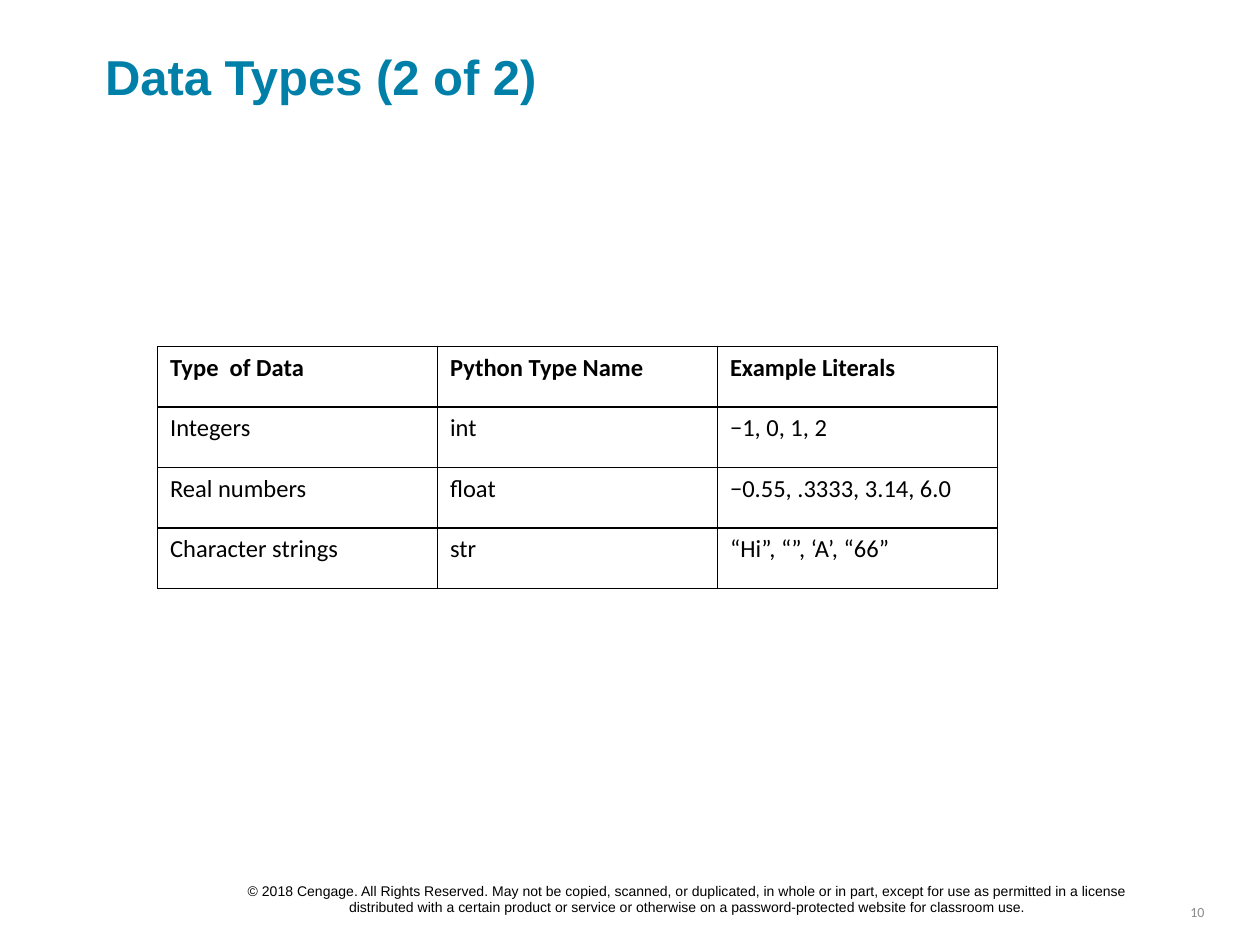
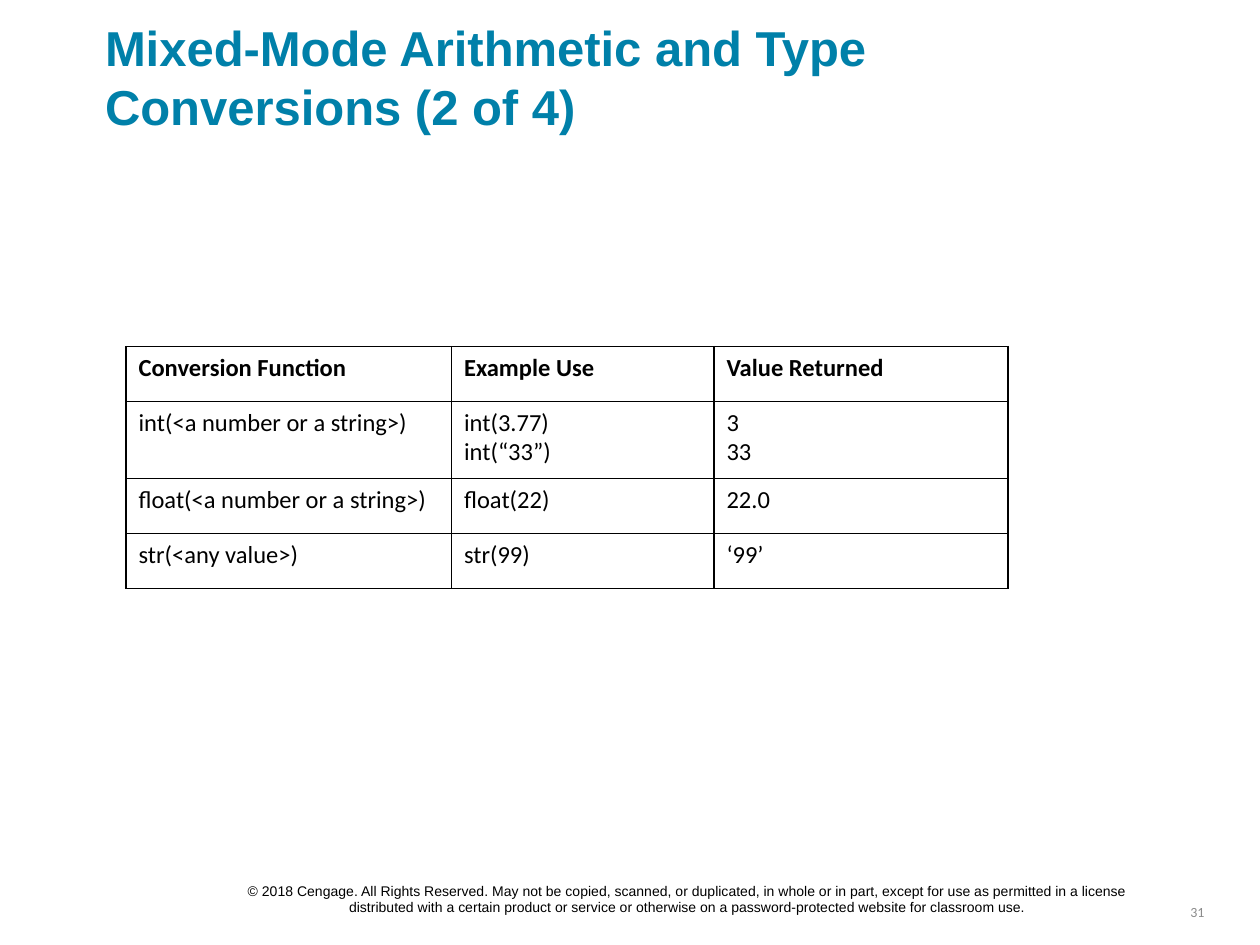
import pptx
import pptx.dml.color
import pptx.enum.text
import pptx.oxml
import pptx.oxml.ns
import pptx.util

Pt = pptx.util.Pt
PP_ALIGN = pptx.enum.text.PP_ALIGN
MIDDLE = pptx.enum.text.MSO_ANCHOR.MIDDLE

TITLE_BLUE = "0080A9"
NUMBER_GREY = "8B8B8B"
BLACK = "000000"
WHITE = "FFFFFF"
BORDER_WIDTH = 0.96

FOOTER_BOX = (126, 504, 534, 19.4)
NUMBER_BOX = (647.3, 512.6, 48.2, 17)
COPYRIGHT = (
    "© 2018 Cengage. All Rights Reserved. May not be copied, scanned, or duplicated, "
    "in whole or in part, except for use as permitted in a license distributed with a "
    "certain product or service or otherwise on a password-protected website for "
    "classroom use."
)

SLIDES = [
    {
        "title": "Data Types (2 of 2)",
        "title_box": (60, 26.6, 632, 33.8),
        "number": "10",
        "table_origin": (90, 198),
        "column_widths": [160, 160, 160],
        "row_heights": [34.6, 34.6, 34.6, 34.6],
        "rows": [
            ["Type  of Data", "Python Type Name", "Example Literals"],
            ["Integers", "int", "−1, 0, 1, 2"],
            ["Real numbers", "float", "−0.55, .3333, 3.14, 6.0"],
            ["Character strings", "str", "“Hi”, “”, ‘A’, “66”"],
        ],
    },
    {
        "title": "Mixed-Mode Arithmetic and Type Conversions (2 of 4)",
        "title_box": (60, 10, 480, 67.7),
        "number": "31",
        "table_origin": (72, 198),
        "column_widths": [186, 150, 168],
        "row_heights": [31.4, 44.2, 31.4, 31.4],
        "rows": [
            ["Conversion Function", "Example Use", "Value Returned"],
            ["int(<a number or a string>)", "int(3.77)\nint(“33”)", "3\n33"],
            ["float(<a number or a string>)", "float(22)", "22.0"],
            ["str(<any value>)", "str(99)", "‘99’"],
        ],
    },
]


def color(hex_string):
    return pptx.dml.color.RGBColor.from_string(hex_string)


def write_text(text_frame, text, font_name, size, hex_color, bold=False, alignment=PP_ALIGN.LEFT):
    text_frame.text = text
    text_frame.word_wrap = True
    for paragraph in text_frame.paragraphs:
        paragraph.alignment = alignment
        font = paragraph.font
        font.name = font_name
        font.size = Pt(size)
        font.bold = bold
        font.color.rgb = color(hex_color)


def add_title(slide, box, text):
    title = slide.shapes.title
    title.left, title.top, title.width, title.height = map(Pt, box)
    frame = title.text_frame
    frame.margin_left = frame.margin_top = frame.margin_right = frame.margin_bottom = 0
    frame.vertical_anchor = MIDDLE
    frame.auto_size = pptx.enum.text.MSO_AUTO_SIZE.NONE
    write_text(frame, text, "Arial", 28, TITLE_BLUE, bold=True)


def add_small_text(slide, box, text, font_name, hex_color, alignment):
    frame = slide.shapes.add_textbox(*map(Pt, box)).text_frame
    frame.vertical_anchor = MIDDLE
    write_text(frame, text, font_name, 8, hex_color, alignment=alignment)


def add_borders(cell):
    properties = cell._tc.get_or_add_tcPr()
    for side in ("lnL", "lnR", "lnT", "lnB"):
        properties.append(pptx.oxml.parse_xml(
            f'<a:{side} {pptx.oxml.ns.nsdecls("a")} w="{int(Pt(BORDER_WIDTH))}">'
            f'<a:solidFill><a:srgbClr val="{BLACK}"/></a:solidFill></a:{side}>'
        ))


def add_data_table(slide, origin, column_widths, row_heights, rows):
    box = (*origin, sum(column_widths), sum(row_heights))
    table = slide.shapes.add_table(len(rows), len(column_widths), *map(Pt, box)).table
    table.horz_banding = False
    for column, width in zip(table.columns, column_widths):
        column.width = Pt(width)
    for row_index, (row, height, texts) in enumerate(zip(table.rows, row_heights, rows)):
        row.height = Pt(height)
        for cell, text in zip(row.cells, texts):
            add_borders(cell)
            cell.fill.solid()
            cell.fill.fore_color.rgb = color(WHITE)
            write_text(cell.text_frame, text, "Calibri", 14, BLACK, bold=row_index == 0)


def add_table_slide(presentation, content):
    slide = presentation.slides.add_slide(presentation.slide_layouts.get_by_name("Title Only"))
    add_title(slide, content["title_box"], content["title"])
    add_data_table(slide, content["table_origin"], content["column_widths"],
                   content["row_heights"], content["rows"])
    add_small_text(slide, FOOTER_BOX, COPYRIGHT, "Arial", BLACK, PP_ALIGN.CENTER)
    add_small_text(slide, NUMBER_BOX, content["number"], "Calibri", NUMBER_GREY, PP_ALIGN.RIGHT)


def main():
    presentation = pptx.Presentation()
    presentation.slide_width = Pt(720)
    presentation.slide_height = Pt(540)
    for content in SLIDES:
        add_table_slide(presentation, content)
    presentation.save("out.pptx")


if __name__ == "__main__":
    main()
